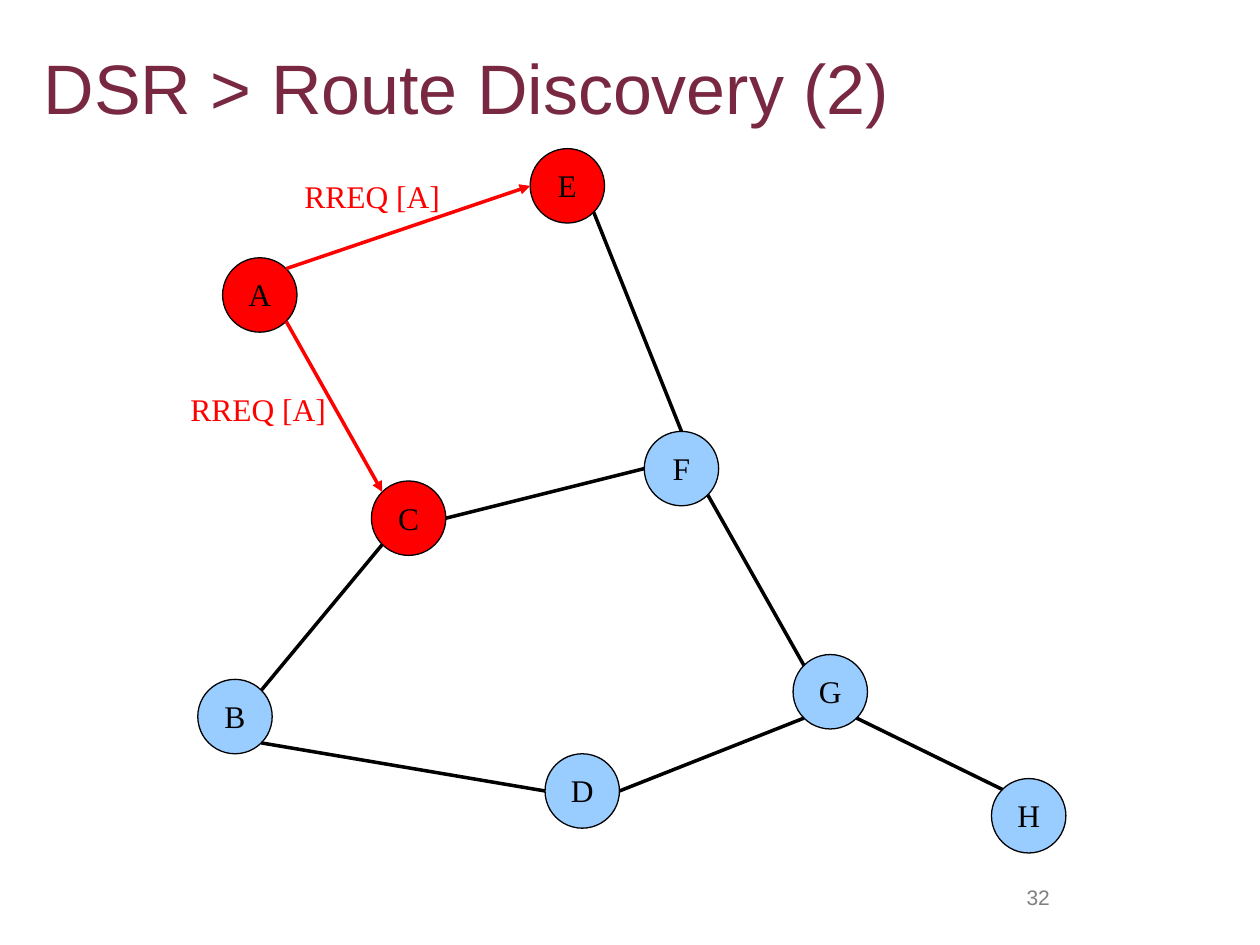
import math
from dataclasses import dataclass

from lxml import etree
from pptx import Presentation
from pptx.dml.color import RGBColor
from pptx.enum import shapes, text
from pptx.oxml import ns
from pptx.util import Inches, Pt


@dataclass(frozen=True)
class Theme:
    title_color: str = "782941"
    reached: str = "FF0000"
    waiting: str = "99CCFF"
    ink: str = "000000"
    muted: str = "808080"
    sans: str = "Arial"
    serif: str = "Times New Roman"
    title_size: int = 40
    label_size: int = 18
    number_size: int = 12


@dataclass(frozen=True)
class Box:
    left: float
    top: float
    width: float
    height: float

    def cells(self, column, row, columns, rows):
        column_width, row_height = self.width / COLUMNS, self.height / ROWS
        return Box(self.left + column * column_width, self.top + row * row_height,
                   columns * column_width, rows * row_height)

    def rim(self, angle):
        turn = math.radians(angle)
        return (self.left + self.width / 2 * (1 + math.cos(turn)),
                self.top + self.height / 2 * (1 + math.sin(turn)))

    def lengths(self):
        return [Inches(value) for value in (self.left, self.top, self.width, self.height)]


THEME = Theme()
SLIDE = Box(0, 0, 10, 7.5)
COLUMNS, ROWS = 17.5, 14.2
NODE_CELLS = 1.5
RIGHT, LOWER_RIGHT, LOWER_LEFT = 0, 45, 135
LEFT, UPPER_LEFT, TOP, UPPER_RIGHT = 180, 225, 270, 315

NODES = {
    "A": (0.5, 2.2), "B": (0, 10.7), "C": (3.5, 6.7), "E": (6.7, 0),
    "D": (7, 12.2), "F": (9, 5.7), "G": (12, 10.2), "H": (16, 12.7),
}
REACHED = {"A", "C", "E"}
LINKS = [
    ("E", LOWER_RIGHT, "F", TOP),
    ("C", RIGHT, "F", LEFT),
    ("B", UPPER_RIGHT, "C", LOWER_LEFT),
    ("B", LOWER_RIGHT, "D", LEFT),
    ("F", LOWER_RIGHT, "G", UPPER_LEFT),
    ("D", RIGHT, "G", LOWER_LEFT),
    ("G", LOWER_RIGHT, "H", UPPER_LEFT),
]
REQUESTS = [
    ("A", UPPER_RIGHT, "E", LEFT),
    ("A", LOWER_RIGHT, "C", UPPER_LEFT),
]
REQUEST_LABELS = [(1.9, 0.5), (-0.4, 4.8)]


def write(shape, words, font, size, color, align=text.PP_ALIGN.LEFT,
          anchor=text.MSO_ANCHOR.TOP, spacing=1.0, margin_top=0.05):
    frame = shape.text_frame
    frame.word_wrap = True
    frame.vertical_anchor = anchor
    frame.margin_left = frame.margin_right = Inches(0.1)
    frame.margin_top, frame.margin_bottom = Inches(margin_top), Inches(0.05)
    paragraph = frame.paragraphs[0]
    paragraph.text = words
    paragraph.alignment = align
    paragraph.line_spacing = spacing
    paragraph.font.name = font
    paragraph.font.size = Pt(size)
    paragraph.font.color.rgb = RGBColor.from_string(color)


def add_title(slide, box):
    shape = slide.shapes.add_textbox(*box.lengths())
    write(shape, "DSR > Route Discovery (2)", THEME.sans, THEME.title_size,
          THEME.title_color, anchor=text.MSO_ANCHOR.MIDDLE, spacing=0.8)


def add_node(slide, box, name):
    shape = slide.shapes.add_shape(shapes.MSO_SHAPE.OVAL, *box.lengths())
    shape.shadow.inherit = False
    shape.fill.solid()
    shape.fill.fore_color.rgb = RGBColor.from_string(
        THEME.reached if name in REACHED else THEME.waiting)
    shape.line.color.rgb = RGBColor.from_string(THEME.ink)
    shape.line.width = Pt(0)
    write(shape, name, THEME.serif, THEME.label_size, THEME.ink,
          text.PP_ALIGN.CENTER, text.MSO_ANCHOR.MIDDLE, 0.61, 0.13)


def add_link(slide, start, end, color, arrow=False):
    connector = slide.shapes.add_connector(
        shapes.MSO_CONNECTOR.STRAIGHT, *[Inches(value) for value in start + end])
    connector.line.color.rgb = RGBColor.from_string(color)
    connector.line.width = Pt(0)
    properties = connector._element.spPr
    if arrow:
        line = properties.find(ns.qn("a:ln"))
        etree.SubElement(line, ns.qn("a:tailEnd"), type="triangle")
    etree.SubElement(properties, ns.qn("a:effectLst"))


def add_network(slide, box):
    places = {name: box.cells(*cell, NODE_CELLS, NODE_CELLS) for name, cell in NODES.items()}
    for name, place in places.items():
        add_node(slide, place, name)
    for links, color, arrow in ((LINKS, THEME.ink, False), (REQUESTS, THEME.reached, True)):
        for source, source_angle, target, target_angle in links:
            add_link(slide, places[source].rim(source_angle),
                     places[target].rim(target_angle), color, arrow)
    for cell in REQUEST_LABELS:
        label = slide.shapes.add_textbox(*box.cells(*cell, 4.2, 1.2).lengths())
        write(label, "RREQ [A]", THEME.serif, THEME.label_size, THEME.reached,
              spacing=0.61, margin_top=0.13)


def add_slide_number(slide, box):
    shape = slide.shapes.add_textbox(*box.lengths())
    write(shape, "32", THEME.sans, THEME.number_size, THEME.muted, text.PP_ALIGN.CENTER)


def main():
    presentation = Presentation()
    presentation.slide_width, presentation.slide_height = SLIDE.lengths()[2:]
    slide = presentation.slides.add_slide(presentation.slide_layouts[6])
    add_title(slide, Box(0.25, 0.35, 8.58, 0.79))
    add_network(slide, Box(1.57, 1.18, 6.89, 5.59))
    add_slide_number(slide, Box(7.75, 6.97, 0.98, 0.32))
    presentation.save("out.pptx")


if __name__ == "__main__":
    main()
